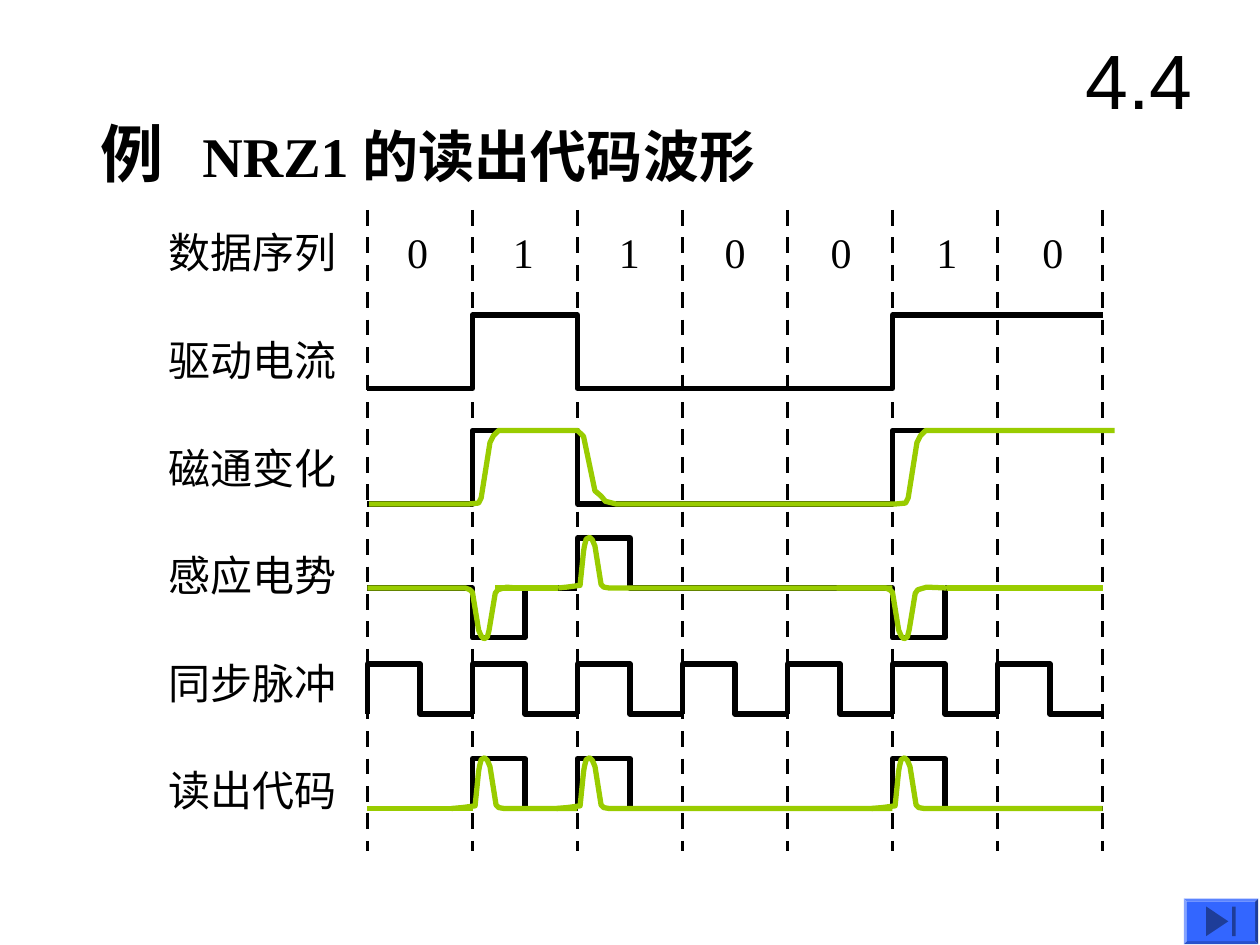
from lxml import etree
from pptx import Presentation
from pptx.dml.color import RGBColor
from pptx.enum.dml import MSO_LINE_DASH_STYLE as Dash
from pptx.enum.shapes import MSO_CONNECTOR as Connector, MSO_SHAPE as Preset
from pptx.enum.text import MSO_ANCHOR as Anchor, MSO_AUTO_SIZE as AutoSize, PP_ALIGN as Align
from pptx.oxml.ns import qn
from pptx.util import Pt

BLACK, GREEN, BLUE = "000000", "99CC00", "3366FF"
BITS = "0110010"
LABELS = ["数据序列", "驱动电流", "磁通变化", "感应电势", "同步脉冲", "读出代码"]
COLUMN, BIT_STEP, LABEL_STEP = 60, 60.5, 61.5

# Wave shapes: offsets from the cell edge and from the base line
SQUARE = [(0, 0), (0, -28.5), (30, -28.5), (30, 0)]
SQUARE_DIP = [(x, -y) for x, y in SQUARE]
PULSE = [(-6, -0.5), (1.5, -1.5), (3.5, -21), (4, -24), (5, -28), (7, -29),
         (8.5, -27.5), (10, -24), (13.5, -2), (15, -0.5), (18, 0)]
DIP = [(-4, 0), (-1.5, 1), (0, 2.5), (3.5, 24), (5, 27.5), (6.5, 29),
       (8.5, 28), (9.5, 24), (10, 21), (13, 3), (14.5, 1), (19.5, -0.5)]
RISE = [(-2, 0), (3.5, -0.5), (5, -3.5), (10, -35), (12, -39), (15, -42)]
FALL = [(0, -42), (1.5, -40.5), (3.5, -38.5), (10, -7.5), (13.5, -4.5), (16, -1.5), (22, 0)]


def rgb(value):
    return RGBColor.from_string(value)


def style_font(font, name, size, bold=False):
    font.name, font.bold = name, bold
    font.color.rgb = rgb(BLACK)
    if size:
        font.size = Pt(size)


def add_text(slide, text, box, name="Times New Roman", size=24, align=Align.LEFT):
    shape = slide.shapes.add_textbox(*map(Pt, box))
    frame = shape.text_frame
    frame.word_wrap = False
    frame.vertical_anchor = Anchor.MIDDLE
    paragraph = frame.paragraphs[0]
    paragraph.text, paragraph.alignment = text, align
    style_font(paragraph.font, name, size)


def add_line(slide, start, end, color=BLACK, width=3, dash=None):
    line = slide.shapes.add_connector(Connector.STRAIGHT, *map(Pt, (*start, *end)))
    line.line.color.rgb = rgb(color)
    line.line.width = Pt(width)
    line.line.dash_style = dash
    etree.SubElement(line._element.spPr, qn("a:effectLst"))


def add_wave(slide, points, color=BLACK):
    first, *rest = [(Pt(x), Pt(y)) for x, y in dict.fromkeys(points)]
    builder = slide.shapes.build_freeform(*first)
    builder.add_line_segments(rest, close=False)
    shape = builder.convert_to_shape()
    shape.shadow.inherit = False
    shape.fill.background()
    shape.line.color.rgb = rgb(color)
    shape.line.width = Pt(3)


def moved(offsets, x, y):
    return [(x + dx, y + dy) for dx, dy in offsets]


def add_segment(slide, base, start, end, edge, offsets, color=BLACK):
    """One stretch of base line with a pulse at the given cell edge."""
    add_wave(slide, [(start, base), *moved(offsets, edge, base), (end, base)], color)


def add_heading(slide, box):
    title = slide.shapes.title
    title.left, title.top, title.width, title.height = map(Pt, box)
    frame = title.text_frame
    frame.auto_size, frame.word_wrap = AutoSize.NONE, True
    frame.vertical_anchor = Anchor.TOP
    paragraph = frame.paragraphs[0]
    paragraph.alignment = Align.LEFT
    tabs = etree.SubElement(paragraph._p.get_or_add_pPr(), qn("a:tabLst"))
    etree.SubElement(tabs, qn("a:tab"), pos=str(Pt(58)), algn="l")
    style_font(paragraph.font, "Times New Roman", None, bold=True)
    for text, size in [("例", 36), ("\tNRZ1 的读出代码波形", 32)]:
        run = paragraph.add_run()
        run.text, run.font.size = text, Pt(size)


def add_grid(slide, box):
    left, top, width, height = box
    for index in range(len(BITS) + 1):
        x = left + index * COLUMN
        add_line(slide, (x, top), (x, top + height), width=2.25, dash=Dash.DASH)
    for index, bit in enumerate(BITS):
        add_text(slide, bit, (left + index * BIT_STEP + 15.5, top + 6, 27, 36))
    for index, label in enumerate(LABELS):
        add_text(slide, label, (left - 121, top + 6 + index * LABEL_STEP, 112, 36))


def add_waveforms(slide, box):
    left, top, width, height = box
    right = left + width
    edges = [left + index * COLUMN for index in range(len(BITS))]
    first, second, third = [x for x, bit in zip(edges, BITS) if bit == "1"]
    drive, flux, voltage, clock, readout = [top + y for y in (102, 168, 216, 288, 342)]

    # Drive current and flux: the level toggles at every 1
    for base in (drive, flux):
        points, level = [(left, base)], base
        for edge in (first, second, third):
            points.append((edge, level))
            level = 2 * base - 42 - level
            points.append((edge, level))
        add_wave(slide, [*points, (right, level)])

    # Ideal induced voltage
    add_line(slide, (first + 30, voltage), (second, voltage))
    add_line(slide, (third + 30, voltage), (right, voltage))
    add_segment(slide, voltage, second, third - 30, second, SQUARE)
    add_segment(slide, voltage, left, first + 30, first, SQUARE_DIP)
    add_segment(slide, voltage, third - 30, third + 30, third, SQUARE_DIP)

    # Synchronising pulses
    for edge in edges:
        add_segment(slide, clock, edge, edge + COLUMN, edge, SQUARE)

    # Ideal readout
    add_line(slide, (left, readout), (first, readout))
    for edge, end in [(first, second), (second, third), (third, right)]:
        add_segment(slide, readout, edge, end, edge, SQUARE)

    # Real flux
    add_wave(slide, [(left + 1, flux), *moved(RISE, first, flux), *moved(FALL, second, flux),
                     *moved(RISE, third + 4, flux), (right + 7, flux - 42)], GREEN)

    # Real readout
    add_line(slide, (left, readout), (first, readout), GREEN)
    for edge, end in [(second, third), (first, second), (third, right)]:
        add_segment(slide, readout, edge - 12, end, edge, PULSE, GREEN)

    # Real induced voltage
    add_line(slide, (first + 13, voltage), (second - 11, voltage), GREEN)
    add_line(slide, (third + 31, voltage), (right, voltage), GREEN)
    add_segment(slide, voltage, second - 11, third, second, PULSE, GREEN)
    add_segment(slide, voltage, left, first + 25, first, DIP, GREEN)
    add_segment(slide, voltage, third - 32, third + 31, third, DIP, GREEN)


def add_end_button(slide, box):
    left, top, width, height = box
    edge = 1.75
    face = (left + edge, top + edge, width - 2 * edge, height - 2 * edge)
    # Bevelled frame, then the face with its symbol
    for preset, area in [(Preset.BEVEL, box), (Preset.ACTION_BUTTON_END, face)]:
        button = slide.shapes.add_shape(preset, *map(Pt, area))
        if preset == Preset.BEVEL:
            button.adjustments[0] = edge / height
        button.shadow.inherit = False
        button.fill.solid()
        button.fill.fore_color.rgb = rgb(BLUE)
        button.line.fill.background()


def main():
    presentation = Presentation()
    presentation.slide_width, presentation.slide_height = Pt(720), Pt(540)
    slide = presentation.slides.add_slide(presentation.slide_layouts[5])
    diagram = (210, 120, COLUMN * len(BITS), 366)
    add_heading(slide, (50.5, 62, 450, 50.5))
    add_grid(slide, diagram)
    add_waveforms(slide, diagram)
    add_text(slide, "4.4", (606, 12, 90, 66), "Arial", 44, Align.CENTER)
    add_end_button(slide, (676.5, 513.5, 42.5, 26))
    presentation.save("out.pptx")


if __name__ == "__main__":
    main()
